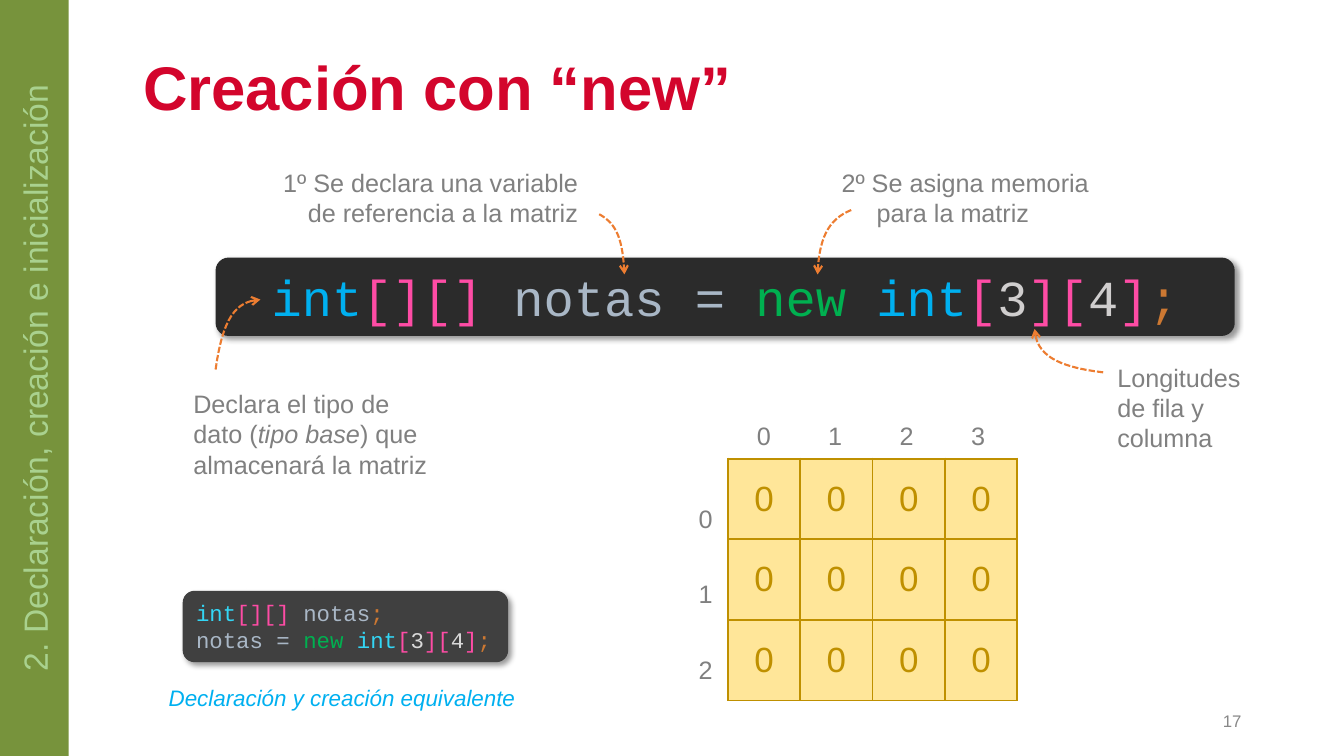
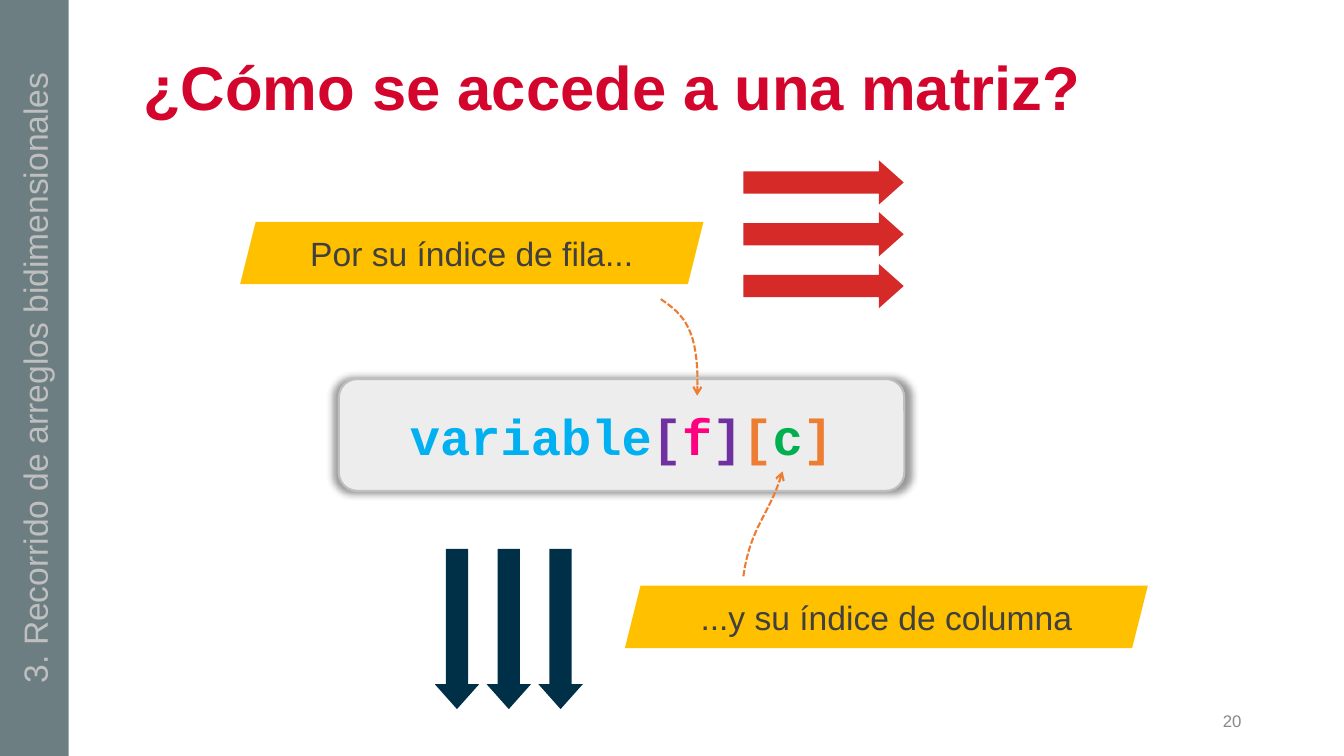
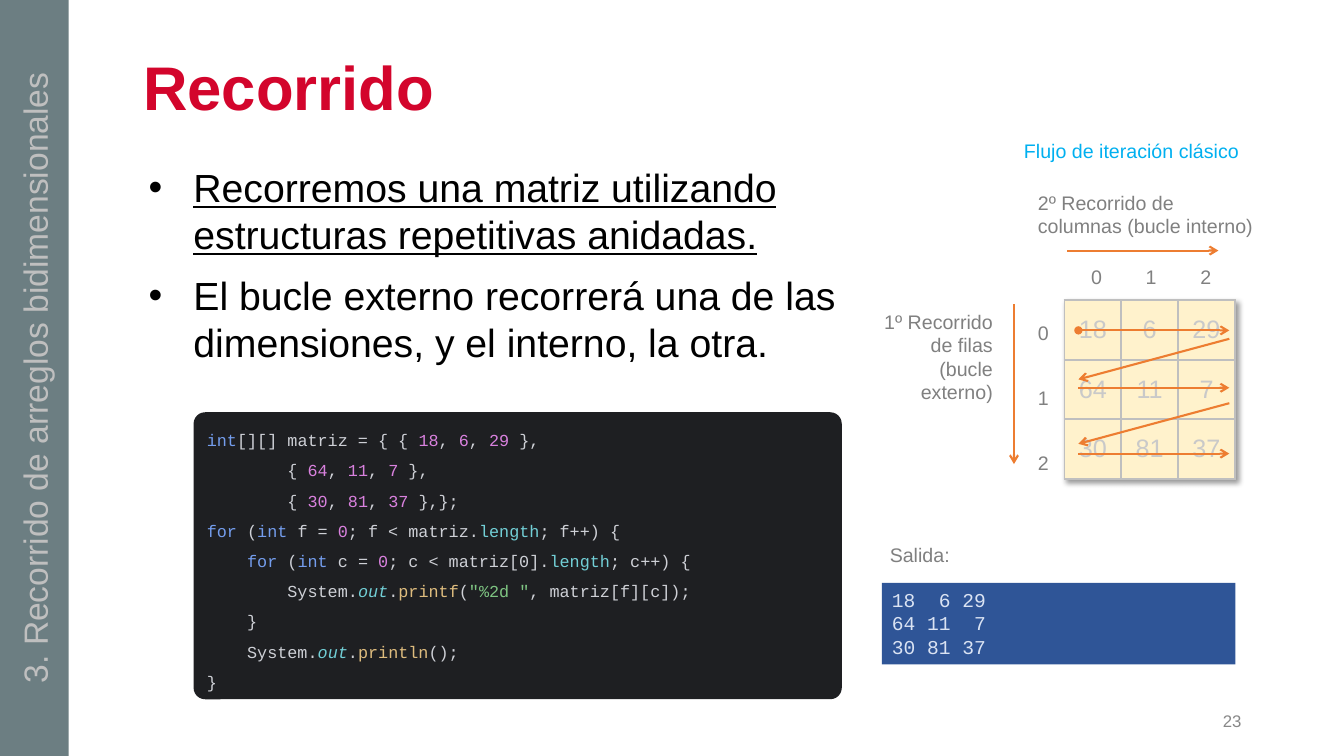
from lxml import etree
from pptx import Presentation, util as u
from pptx.dml.color import RGBColor
from pptx.enum import dml, shapes, text
from pptx.oxml.ns import qn

Pt = u.Pt
SHAPE = shapes.MSO_SHAPE
LEFT, CENTER, RIGHT = text.PP_ALIGN.LEFT, text.PP_ALIGN.CENTER, text.PP_ALIGN.RIGHT
MIDDLE, TOP = text.MSO_ANCHOR.MIDDLE, text.MSO_ANCHOR.TOP
SANS, MONO = "Arial", "Courier New"
RED, GRAY, ORANGE, SKY, GREEN = "D3052C", "808080", "ED7D31", "00B0F0", "00B050"
PINK, STEEL, RUST, SILVER = "FE4CA5", "A9B7C6", "CC7832", "BFBFBF"
KEYWORD, PLAIN, NUMBER = "749DED", "CED0D6", "D981DE"
FIELD, METHOD, STRING = "72CFD6", "DEBC7E", "7EC482"
TRAVERSAL = ("3. Recorrido de arreglos bidimensionales", "6C7E82", SILVER)


def rgb(value):
    """Turn a hex string into a colour."""
    return RGBColor.from_string(value)


def sub(parent, tag, **attrs):
    """Append a drawing element with the given attributes."""
    return etree.SubElement(parent, qn(tag), {k: str(v) for k, v in attrs.items()})


def write(tf, paras, size, color, font=SANS, align=LEFT, spacing=None,
          before=0, after=0, bold=False):
    """Fill a text frame; a paragraph is a string or a list of (text, colour, style)."""
    tf.word_wrap = True
    tf.auto_size = text.MSO_AUTO_SIZE.NONE
    for i, runs in enumerate(paras):
        p = tf.add_paragraph() if i else tf.paragraphs[0]
        p.alignment = align
        p.space_before, p.space_after = Pt(before if i else 0), Pt(after)
        if spacing:
            p.line_spacing = spacing
        for run in [(runs,)] if isinstance(runs, str) else runs:
            content, ink, style = run + (color, "")[len(run) - 1:]
            r = p.add_run()
            r.text = content
            r.font.name, r.font.size, r.font.bold = font, Pt(size), bold
            r.font.italic, r.font.underline = style == "i", style == "u"
            r.font.color.rgb = rgb(ink)


def label(s, x, y, w, h, paras, size=18, color=GRAY, anchor=TOP, **style):
    """Add a text box and return its frame."""
    tf = s.shapes.add_textbox(Pt(x), Pt(y), Pt(w), Pt(h)).text_frame
    tf.vertical_anchor = anchor
    write(tf, paras, size, color, **style)
    return tf


def block(s, kind, x, y, w, h, fill, line=None, adjust=()):
    """Add a flat preset shape."""
    sp = s.shapes.add_shape(kind, Pt(x), Pt(y), Pt(w), Pt(h))
    sp.shadow.inherit = False
    sp.fill.solid()
    sp.fill.fore_color.rgb = rgb(fill)
    if line:
        sp.line.color.rgb, sp.line.width = rgb(line), Pt(1.5)
    else:
        sp.line.fill.background()
    for i, value in enumerate(adjust):
        sp.adjustments[i] = value
    sp.text_frame.vertical_anchor = MIDDLE
    return sp


def cast_shadow(effects, blur=4, distance=3, scale=100):
    """Add a soft black shadow to an effect list."""
    shadow = sub(effects, "a:outerShdw", blurRad=Pt(blur), dist=Pt(distance),
                 dir=45 * 60000, sx=scale * 1000, sy=scale * 1000,
                 algn="ctr" if scale > 100 else "tl", rotWithShape=0)
    sub(sub(shadow, "a:srgbClr", val="000000"), "a:alpha", val=40000)


def shape_shadow(sp, **options):
    """Give a shape a soft shadow."""
    cast_shadow(sp._element.spPr.find(qn("a:effectLst")), **options)


def arrow_style(sp, head=None):
    """Draw a line in orange with an open arrowhead at its end."""
    sp.line.color.rgb, sp.line.width = rgb(ORANGE), Pt(1.5)
    ln = sp.line._get_or_add_ln()
    if head:
        sub(ln, "a:headEnd", type=head)
    sub(ln, "a:tailEnd", type="arrow")


def arrow(s, x1, y1, x2, y2, head=None):
    """Add a straight arrow."""
    c = s.shapes.add_connector(shapes.MSO_CONNECTOR.STRAIGHT, Pt(x1), Pt(y1), Pt(x2), Pt(y2))
    arrow_style(c, head)
    sub(c._element.spPr, "a:effectLst")


def curved_arrow(s, x, y, *controls):
    """Add a dashed arrow along a cubic curve with controls relative to x, y."""
    steps = 16
    points = []
    for i in range(steps + 1):
        t = i / steps
        weights = ((1 - t) ** 3, 3 * t * (1 - t) ** 2, 3 * t * t * (1 - t), t ** 3)
        points.append(tuple(Pt(origin + sum(k * c[axis] for k, c in zip(weights, controls)))
                            for axis, origin in enumerate((x, y))))
    builder = s.shapes.build_freeform(*points[0])
    builder.add_line_segments(points[1:], close=False)
    sp = builder.convert_to_shape()
    sp.fill.background()
    sp.shadow.inherit = False
    sp.line.dash_style = dml.MSO_LINE.SQUARE_DOT
    arrow_style(sp)


def matrix(s, x, y, w, h, rows, size, ink, fill, border, margins=(7.2, 3.6), after=0):
    """Add a table of centred numbers with equal cells."""
    n, m = len(rows), len(rows[0])
    table = s.shapes.add_table(n, m, Pt(x), Pt(y), Pt(w), Pt(h)).table
    table.first_row = table.horz_banding = False
    for column in table.columns:
        column.width = Pt(w / m)
    for row, values in zip(table.rows, rows):
        row.height = Pt(h / n)
        for cell, value in zip(row.cells, values):
            cell.margin_left = cell.margin_right = Pt(margins[0])
            cell.margin_top = cell.margin_bottom = Pt(margins[1])
            cell.vertical_anchor = MIDDLE
            write(cell.text_frame, [str(value)], size, ink, align=CENTER, after=after)
            tc_pr = cell._tc.get_or_add_tcPr()
            for side in ("a:lnL", "a:lnR", "a:lnT", "a:lnB"):
                edge = sub(tc_pr, side, w=Pt(1.5))
                sub(sub(edge, "a:solidFill"), "a:srgbClr", val=border)
            cell.fill.solid()
            cell.fill.fore_color.rgb = rgb(fill)
    return table


def column_indexes(s, x, y, count, step, size):
    """Number the columns of a matrix on one line with tab stops."""
    numbers = "\t".join(str(i) for i in range(count))
    tf = label(s, x, y, count * step + 15, size * 1.6, [numbers], size)
    tabs = sub(tf.paragraphs[0]._p.get_or_add_pPr(), "a:tabLst")
    for i in range(1, count):
        sub(tabs, "a:tab", pos=Pt(i * step), algn="l")


def base_slide(prs, title, number, section, layout=5):
    """Add a slide with its title, section band and page number."""
    s = prs.slides.add_slide(prs.slide_layouts[layout])
    sp = s.shapes.title
    sp.left, sp.top, sp.width, sp.height = Pt(95), Pt(34), Pt(799), Pt(62)
    sp.text_frame.vertical_anchor = MIDDLE
    write(sp.text_frame, [title], 44, RED, spacing=0.9, bold=True)
    label(s, 678, 500.4, 216, 28.8, [str(number)], 12, "888888", MIDDLE, align=RIGHT)
    name, fill, ink = section
    tf = block(s, SHAPE.RECTANGLE, 0, 0, 49, 540, fill).text_frame
    tf._txBody.bodyPr.set("vert", "vert270")
    write(tf, [name], 24, ink, align=CENTER)
    return s


def declaration(s, x, y, w, h):
    """Show the declaration in a code bar, with a callout for each part."""
    sp = block(s, SHAPE.ROUNDED_RECTANGLE, x, y, w, h, "2B2B2B")
    shape_shadow(sp)
    code = [("int", SKY), ("[][] ", PINK), ("notas = ", STEEL), ("new ", GREEN),
            ("int", SKY), ("[", PINK), ("3", "D0CECE"), ("][", PINK),
            ("4", "D0CECE"), ("]", PINK), (";", RUST)]
    write(sp.text_frame, [code], 36, STEEL, MONO, CENTER)
    label(s, x - 23, y + 90, 190, 73,
          [[("Declara el tipo de dato (",), ("tipo base", GRAY, "i"),
            (") que almacenará la matriz",)]])
    label(s, x + 32, y - 68, 234, 51,
          ["1º Se declara una variable de referencia a la matriz"], align=RIGHT)
    tf = label(s, x + 440, y - 68, 215, 51, ["2º Se asigna memoria", "para la matriz"])
    tf.paragraphs[1]._p.get_or_add_pPr().set("marL", str(Pt(25)))
    label(s, x + 637, y + 71, 113, 73, ["Longitudes de fila y columna"])
    for controls in (((0, 80), (5, 44), (14, 31), (32, 30)),
                     ((634, 82), (600, 78), (586, 69), (585, 51)),
                     ((274, -31), (287, -24), (291, -12), (292, 12)),
                     ((454, -34), (437, -27), (431, -13), (430, 12))):
        curved_arrow(s, x, y, *controls)


def equivalent(s, x, y, w, h):
    """Show the two-line form of the declaration with its caption."""
    sp = block(s, SHAPE.ROUNDED_RECTANGLE, x, y, w, h, "404040")
    shape_shadow(sp)
    cyan, light = "33D6F5", "D9D9D9"
    code = [[("int", cyan), ("[][] ", PINK), ("notas", STEEL), (";", RUST)],
            [("notas = ", STEEL), ("new ", GREEN), ("int", cyan), ("[", PINK),
             ("3", light), ("][", PINK), ("4", light), ("]", PINK), (";", RUST)]]
    write(sp.text_frame, code, 16, STEEL, MONO)
    label(s, x - 32, y + h + 12, w + 59, 27,
          [[("Declaración y creación equivalente", SKY, "i")]], 16, align=CENTER)


def zero_matrix(s, x, y, w, h):
    """Show the new matrix with its row and column indexes."""
    matrix(s, x, y, w, h, [[0] * 4] * 3, 25, "BF9000", "FFE699", "BF9000", (13, 6.5), 6)
    column_indexes(s, x + 13.5, y - 31, 4, 51, 18)
    label(s, x - 28, y - 4.3, 28, 161, ["0", "1", "2"], spacing=2.5)


def access_code(s, x, y, w, h):
    """Show the access expression in a framed box."""
    sp = block(s, SHAPE.ROUNDED_RECTANGLE, x, y, w, h, "EDEDED", SILVER)
    shape_shadow(sp, blur=5, distance=0, scale=102)
    code = [("variable", SKY), ("[", "7030A0"), ("f", "FF0080"), ("]", "7030A0"),
            ("[", ORANGE), ("c", GREEN), ("]", ORANGE)]
    write(sp.text_frame, [code], 36, SKY, MONO, CENTER, bold=True)
    curved_arrow(s, x, y, (230, -57), (246, -46), (258, -36), (256, 12))
    curved_arrow(s, x, y, (289, 141), (294, 105), (308, 97), (317, 66))


def ribbon(s, x, y, w, h, caption):
    """Add a slanted yellow caption."""
    sp = block(s, SHAPE.PARALLELOGRAM, x, y, w, h, "FFC000")
    write(sp.text_frame, [caption], 24, "404040", align=CENTER)


def arrow_stack(s, kind, x, y, w, h, dx, dy, fill):
    """Group three equal block arrows at a fixed step."""
    group = s.shapes.add_group_shape()
    for i in range(3):
        block(group, kind, x + i * dx, y + i * dy, w, h, fill, adjust=(0.5, 0.56))


def bullets(s, x, y, w, h, paras):
    """Place the body placeholder and give it bullets."""
    sp = s.placeholders[1]
    sp.left, sp.top, sp.width, sp.height = Pt(x), Pt(y), Pt(w), Pt(h)
    write(sp.text_frame, paras, 28, "000000", before=10)
    for p in sp.text_frame.paragraphs:
        p_pr = p._p.get_or_add_pPr()
        p_pr.set("marL", str(Pt(36)))
        p_pr.set("indent", str(Pt(-32)))
        sub(sub(p_pr, "a:buClr"), "a:srgbClr", val="000000")
        sub(p_pr, "a:buFont", typeface=SANS)
        sub(p_pr, "a:buChar", char="•")


def loop_code(s, x, y, w, h):
    """Show the nested loops in a dark code panel."""
    code = [
        [("int", KEYWORD), ("[][] matriz = { { ",), ("18", NUMBER), (", ",), ("6", NUMBER),
         (", ",), ("29 ", NUMBER), ("},",)],
        [("        { ",), ("64", NUMBER), (", ",), ("11", NUMBER), (", ",), ("7 ", NUMBER), ("},",)],
        [("        { ",), ("30", NUMBER), (", ",), ("81", NUMBER), (", ",), ("37 ", NUMBER), ("},};",)],
        [("for ", KEYWORD), ("(",), ("int ", KEYWORD), ("f = ",), ("0", NUMBER),
         ("; f < matriz.",), ("length", FIELD), ("; f++) {",)],
        [("    ",), ("for ", KEYWORD), ("(",), ("int ", KEYWORD), ("c = ",), ("0", NUMBER),
         ("; c < matriz[0].",), ("length", FIELD), ("; c++) {",)],
        [("        System.",), ("out", FIELD, "i"), (".",), ("printf", METHOD), ("(",),
         ('"%2d "', STRING), (", matriz[f][c]);",)],
        "    }",
        [("    System.",), ("out", FIELD, "i"), (".",), ("println", METHOD), ("();",)],
        "}",
    ]
    sp = block(s, SHAPE.ROUNDED_RECTANGLE, x, y, w, h, "1E1F22", adjust=(0.04,))
    write(sp.text_frame, code, 12, PLAIN, MONO, spacing=1.5)


def traversal(s, x, y, w, h):
    """Show the matrix with the order in which its cells are visited."""
    rows = [[18, 6, 29], [64, 11, 7], [30, 81, 37]]
    table = matrix(s, x, y, w, h, rows, 18, "C9C9C9", "FFF2CC", SILVER)
    effects = etree.Element(qn("a:effectLst"))
    cast_shadow(effects)
    table._tbl.tblPr.insert(0, effects)
    column_indexes(s, x + 12, y - 29, 3, 39, 14)
    label(s, x - 26, y + 3, 22, 120, ["0", "1", "2"], 14, spacing=1.5, before=21)
    label(s, x - 36, y - 119, 214, 24, ["Flujo de iteración clásico"], 14, SKY)
    label(s, x - 26, y - 82, 174, 41, ["2º Recorrido de columnas (bucle interno)"], 14)
    label(s, x - 143, y + 3, 99, 75, ["1º Recorrido de filas (bucle externo)"], 14, align=RIGHT)
    arrow(s, x + 2, y - 35.5, x + 110, y - 35.5)
    arrow(s, x - 36, y + 3, x - 36, y + 117)
    start, end = x + 10, x + w - 4
    for top, head in ((21.5, "oval"), (62.5, None), (109.5, None)):
        arrow(s, start, y + top, end, y + top, head)
    for top in (27.5, 73.5):
        arrow(s, end, y + top, start, y + top + 29)


def console(s, x, y, w, h):
    """Show the program output under its label."""
    label(s, x - 1.5, y - 32, 163, 24, ["Salida:"], 14)
    sp = block(s, SHAPE.RECTANGLE, x, y, w, h, "2F5597")
    sp.text_frame.vertical_anchor = TOP
    write(sp.text_frame, ["18  6 29", "64 11  7", "30 81 37"], 14, "DAE3F3", MONO)


def main():
    """Build the three slides and save them."""
    prs = Presentation()
    prs.slide_width, prs.slide_height = Pt(960), Pt(540)

    s = base_slide(prs, "Creación con “new”", 17,
                   ("2. Declaración, creación e inicialización", "77933C", "A9D18E"))
    declaration(s, 154, 184, 728, 56)
    equivalent(s, 130.5, 422, 232.5, 51)
    zero_matrix(s, 520, 327.6, 206.6, 172.8)

    s = base_slide(prs, "¿Cómo se accede a una matriz?", 20, TRAVERSAL)
    access_code(s, 242, 270.7, 404, 80)
    ribbon(s, 171.5, 158.4, 331, 44.6, "Por su índice de fila...")
    ribbon(s, 446.4, 418.3, 373.5, 44.6, "...y su índice de columna")
    arrow_stack(s, SHAPE.RIGHT_ARROW, 531, 114.5, 114.5, 31.7, 0, 37, "D62A29")
    arrow_stack(s, SHAPE.DOWN_ARROW, 310.6, 392, 31.7, 114.5, 37, 0, "003048")

    s = base_slide(prs, "Recorrido", 23, TRAVERSAL, layout=1)
    bullets(s, 95, 113, 540, 376.5, [
        [("Recorremos una matriz utilizando estructuras repetitivas anidadas.", "000000", "u")],
        "El bucle externo recorrerá una de las dimensiones, y el interno, la otra."])
    traversal(s, 760.3, 214.5, 121.8, 127.5)
    loop_code(s, 138.3, 294.5, 463, 205)
    console(s, 630, 416.3, 252.5, 58.3)

    prs.save("out.pptx")


if __name__ == "__main__":
    main()
